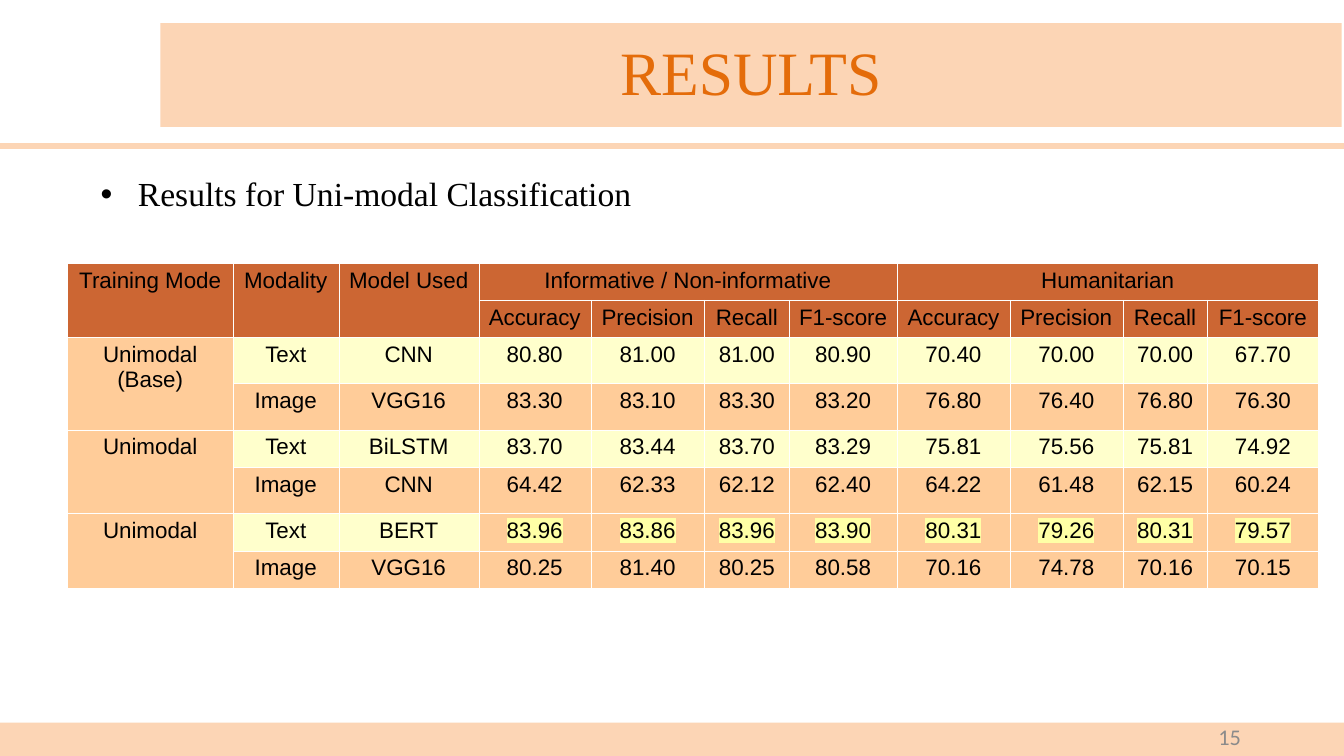
import pptx
import pptx.util
import pptx.dml.color
import pptx.enum.shapes
import pptx.enum.text
import pptx.oxml.ns
from lxml import etree

Inches, Pt = pptx.util.Inches, pptx.util.Pt
ALIGN, ANCHOR = pptx.enum.text.PP_ALIGN, pptx.enum.text.MSO_ANCHOR
qn = pptx.oxml.ns.qn

# Content
TITLE = "RESULTS"
BULLET = "Results for Uni-modal Classification"
PAGE = "15"
METRICS = ["Accuracy", "Precision", "Recall", "F1-score"]
HEADER = [
    ["Training Mode", "Modality", "Model Used",
     "Informative / Non-informative", "", "", "", "Humanitarian", "", "", ""],
    ["", "", ""] + METRICS * 2,
]
RESULTS = [
    ["Unimodal\n(Base)", "Text", "CNN", "80.80", "81.00", "81.00", "80.90",
     "70.40", "70.00", "70.00", "67.70"],
    ["", "Image", "VGG16", "83.30", "83.10", "83.30", "83.20",
     "76.80", "76.40", "76.80", "76.30"],
    ["Unimodal", "Text", "BiLSTM", "83.70", "83.44", "83.70", "83.29",
     "75.81", "75.56", "75.81", "74.92"],
    ["", "Image", "CNN", "64.42", "62.33", "62.12", "62.40",
     "64.22", "61.48", "62.15", "60.24"],
    ["Unimodal", "Text", "BERT", "83.96", "83.86", "83.96", "83.90",
     "80.31", "79.26", "80.31", "79.57"],
    ["", "Image", "VGG16", "80.25", "81.40", "80.25", "80.58",
     "70.16", "74.78", "70.16", "70.15"],
]
BEST_MODEL = "BERT"

# Layout and formats
SLIDE_WIDTH = 40 / 3
COL_WIDTHS = [1.64, 1.05, 1.39, 1.11, 1.13, 0.84, 1.07, 1.12, 1.12, 0.84, 1.1]
ROW_HEIGHTS = [0.36, 0.36, 0.46, 0.46, 0.37, 0.46, 0.37, 0.37]
BAND, HEAD, PEACH, CREAM, MARK = "FCD5B5", "CC6633", "FFCC99", "FFFFCC", "FFFFA6"
TITLE_FONT = {"name": "Times New Roman", "size": Pt(44), "color": "E46C0A"}
BULLET_FONT = {"name": "Times New Roman", "size": Pt(24), "color": "000000"}
PAGE_FONT = {"name": "Calibri", "size": Pt(16), "color": "8B8B8B"}
CELL_FONT = {"name": "Arial", "size": Pt(16), "color": "000000"}
CELL_MARGINS = {"margin_left": Inches(0.08), "margin_right": Inches(0.08)}


def rgb(value):
    return pptx.dml.color.RGBColor.from_string(value)


def fill(target, color):
    target.fill.solid()
    target.fill.fore_color.rgb = rgb(color)


def write(tf, text, font, align, mark=None):
    for i, line in enumerate(text.split("\n")):
        p = tf.paragraphs[0] if i == 0 else tf.add_paragraph()
        p.alignment = align
        r = p.add_run()
        r.text = line
        for key, value in font.items():
            if key == "color":
                r.font.color.rgb = rgb(value)
            else:
                setattr(r.font, key, value)
        if mark:
            highlight = etree.Element(qn("a:highlight"))
            etree.SubElement(highlight, qn("a:srgbClr"), val=mark)
            r.font._element.find(qn("a:solidFill")).addnext(highlight)


def add_band(s, *box):
    sp = s.shapes.add_shape(pptx.enum.shapes.MSO_SHAPE.RECTANGLE, *map(Inches, box))
    sp.shadow.inherit = False
    fill(sp, BAND)
    sp.line.fill.background()
    return sp


def add_text(s, box, text, font, align, anchor):
    sp = s.shapes.add_textbox(*map(Inches, box))
    tf = sp.text_frame
    tf.word_wrap = True
    tf.vertical_anchor = anchor
    write(tf, text, font, align)
    return tf


def set_borders(cell):
    tcPr = cell._tc.get_or_add_tcPr()
    for i, side in enumerate(("lnL", "lnR", "lnT", "lnB")):
        ln = etree.Element(qn("a:" + side), w=str(Pt(0.06)))
        line_fill = etree.SubElement(ln, qn("a:solidFill"))
        etree.SubElement(line_fill, qn("a:srgbClr"), val="FFFFFF")
        tcPr.insert(i, ln)


prs = pptx.Presentation()
prs.slide_width, prs.slide_height = Inches(SLIDE_WIDTH), Inches(7.5)
s = prs.slides.add_slide(prs.slide_layouts[6])

# Footer band and header rule
add_band(s, 0, 7.17, SLIDE_WIDTH, 0.33)
rule = s.shapes.add_connector(pptx.enum.shapes.MSO_CONNECTOR.STRAIGHT,
                              0, Inches(1.45), Inches(SLIDE_WIDTH), Inches(1.45))
rule.line.color.rgb = rgb(BAND)
rule.line.width = Pt(4.5)
etree.SubElement(rule._element.spPr, qn("a:effectLst"))

# Title, page number and bullet
title = add_band(s, 1.59, 0.23, 11.72, 1.03).text_frame
title.word_wrap = True
title.vertical_anchor = ANCHOR.MIDDLE
write(title, TITLE, TITLE_FONT, ALIGN.CENTER)
title.paragraphs[0].line_spacing = 0.9

add_text(s, (9.42, 7.11, 2.99, 0.39), PAGE, PAGE_FONT, ALIGN.RIGHT, ANCHOR.MIDDLE)

tf = add_text(s, (0.89, 1.67, 11.53, 0.6), BULLET, BULLET_FONT, ALIGN.LEFT, ANCHOR.TOP)
pPr = tf.paragraphs[0]._p.get_or_add_pPr()
pPr.set("marL", str(Inches(0.38)))
pPr.set("indent", str(Inches(-0.37)))
bullet_color = etree.SubElement(pPr, qn("a:buClr"))
etree.SubElement(bullet_color, qn("a:srgbClr"), val="000000")
etree.SubElement(pPr, qn("a:buFont"), typeface="Arial")
etree.SubElement(pPr, qn("a:buChar"), char="•")

# Results table
rows = HEADER + RESULTS
table = s.shapes.add_table(len(rows), len(COL_WIDTHS), Inches(0.67), Inches(2.61),
                           Inches(sum(COL_WIDTHS)), Inches(sum(ROW_HEIGHTS))).table
for column, width in zip(table.columns, COL_WIDTHS):
    column.width = Inches(width)
for row, height in zip(table.rows, ROW_HEIGHTS):
    row.height = Inches(height)

for i, row in enumerate(rows):
    for j, text in enumerate(row):
        cell = table.cell(i, j)
        best = row[2] == BEST_MODEL and j > 2
        if i < len(HEADER):
            color = HEAD
        elif j > 0 and row[1] == "Text" and not best:
            color = CREAM
        else:
            color = PEACH
        fill(cell, color)
        set_borders(cell)
        for key, value in CELL_MARGINS.items():
            setattr(cell, key, value)
        if text:
            write(cell.text_frame, text, CELL_FONT, ALIGN.CENTER, MARK if best else None)

# Merged headings and training modes
for j in range(3):
    table.cell(0, j).merge(table.cell(1, j))
for j in (3, 7):
    table.cell(0, j).merge(table.cell(0, j + len(METRICS) - 1))
for i in range(len(HEADER), len(rows), 2):
    table.cell(i, 0).merge(table.cell(i + 1, 0))

prs.save("out.pptx")
